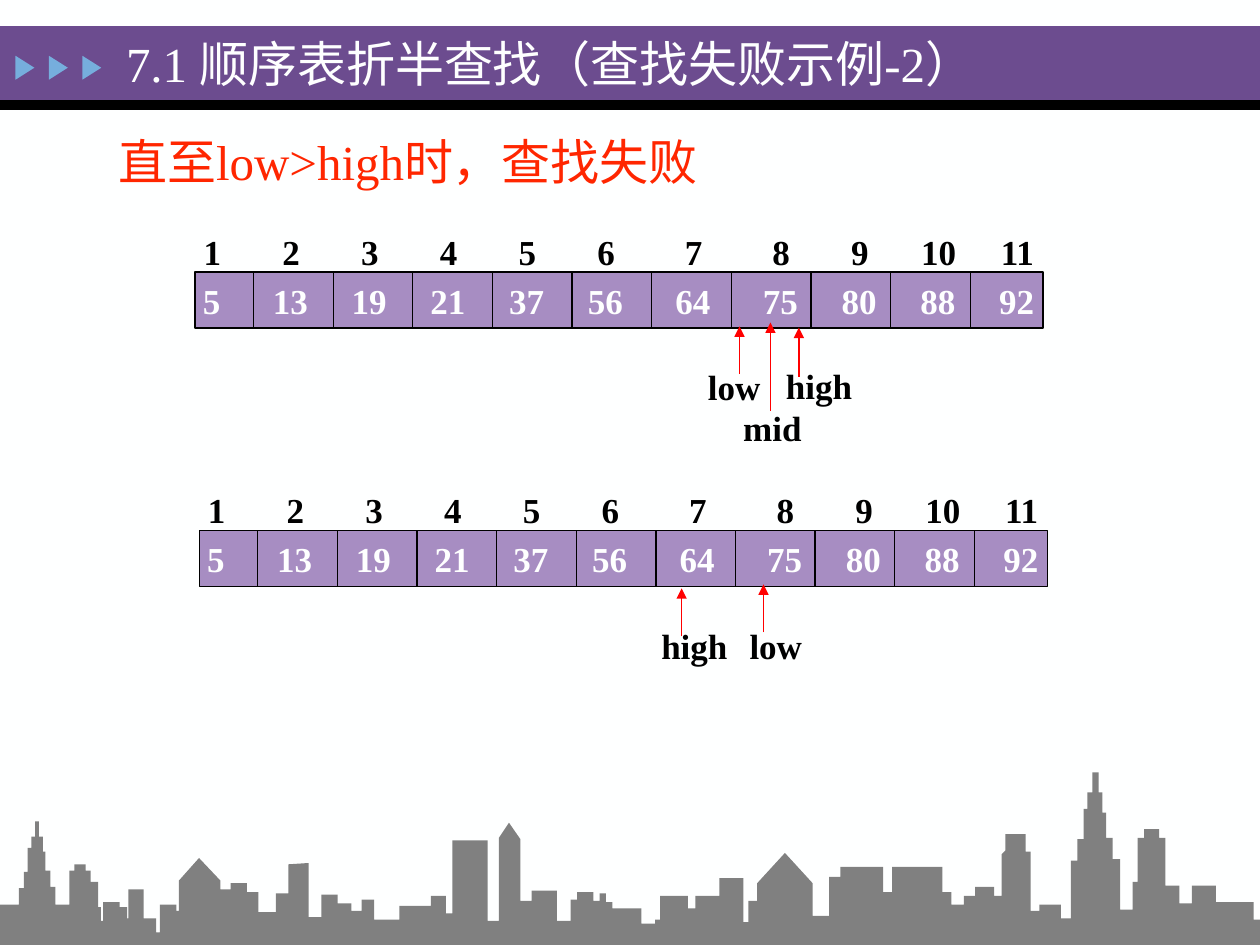
"""Build the slide on a failed binary search in a sequential list."""
from dataclasses import dataclass
from itertools import accumulate
from typing import Optional

from lxml.etree import SubElement
from pptx import Presentation
from pptx.dml.color import RGBColor
from pptx.enum.shapes import MSO_CONNECTOR, MSO_SHAPE
from pptx.enum.text import MSO_ANCHOR, MSO_AUTO_SIZE, PP_ALIGN
from pptx.oxml.ns import qn
from pptx.util import Pt

WHITE = RGBColor(0xFE, 0xFF, 0xFF)
BLACK = RGBColor(0x00, 0x00, 0x00)
PURPLE = RGBColor(0x6C, 0x4C, 0x8F)
LILAC = RGBColor(0xA7, 0x8D, 0xC2)
SKY_BLUE = RGBColor(0x76, 0xAE, 0xDD)
ARROW_RED = RGBColor(0xFF, 0x00, 0x00)
NOTE_RED = RGBColor(0xFF, 0x26, 0x00)
GRAY = RGBColor(0x80, 0x80, 0x80)
FONT = "Times New Roman"

VALUES = (5, 13, 19, 21, 37, 56, 64, 75, 80, 88, 92)
INDEXES = range(1, len(VALUES) + 1)
TAB_STOPS = tuple(accumulate((50, 45, 45, 45, 45, 50, 50, 45, 45, 45)))

# Each roof, from right to left: left end, level and, if pitched, level at the left end.
ROOFS = (
    (995, 730), (965, 716), (946, 703), (936, 717), (925, 703), (920, 665), (908, 658),
    (903, 665), (899, 700), (889, 722), (883, 682), (878, 665), (875, 645), (872, 629),
    (867, 613), (863, 629), (860, 642), (855, 666), (850, 683), (842, 729), (825, 718),
    (818, 723), (814, 676), (798, 662), (795, 675, 678), (789, 711), (774, 704),
    (765, 711), (755, 718), (748, 708), (708, 688), (701, 708), (667, 688), (658, 696),
    (645, 727), (623, 701, 677), (601, 677, 701), (594, 715), (590, 732), (571, 697),
    (552, 711), (546, 721), (524, 711), (520, 730), (509, 733), (486, 721), (481, 716),
    (476, 709), (471, 715), (458, 708), (453, 714), (442, 731), (422, 707), (413, 715),
    (404, 666, 653), (396, 653, 665), (387, 731), (359, 667), (354, 725), (342, 711),
    (317, 719), (297, 730), (287, 714), (279, 723), (268, 717), (255, 710), (245, 728),
    (229, 685, 686), (219, 709), (205, 724), (196, 708), (183, 701), (175, 706),
    (158, 699, 681), (142, 681, 699), (140, 723), (127, 718), (124, 740), (114, 729),
    (102, 706), (101, 729), (95, 720), (82, 716), (80, 731), (78, 720), (72, 700),
    (68, 691), (59, 686), (55, 691), (44, 718), (40, 704), (36, 691), (34, 676),
    (31, 664), (28, 652), (25, 664), (22, 673), (19, 692), (15, 705), (0, 718),
)


@dataclass(frozen=True)
class Pointer:
    name: str
    left: float
    top: float
    width: float
    arrow_x: float
    arrow_bottom: float
    arrow_top: float


@dataclass(frozen=True)
class SearchStep:
    left: float
    top: float
    pointers: tuple[Pointer, ...]


STEPS = (
    SearchStep(113.9, 303.1, (
        Pointer("low", 421.2, 353.5, 44.6, 436.3, 361.4, 334),
        Pointer("high", 370.8, 353.5, 52.6, 389.5, 363.6, 336.2),
    )),
    SearchStep(111.5, 155.5, (
        Pointer("low", 397.4, 205.2, 44.6, 422.6, 213.8, 186.5),
        Pointer("high", 442, 204.5, 52.6, 456.5, 215.3, 187.2),
        Pointer("mid", 417.6, 229, 47.5, 440.3, 234.7, 184.3),
    )),
)


def write_text(shape, text: str, *, size: float = 20, color: RGBColor = BLACK,
               bold: bool = False, wrap: bool = True, tabs: tuple = (),
               anchor: MSO_ANCHOR = MSO_ANCHOR.TOP, margin: float = 7.2) -> None:
    """Write one formatted paragraph into a shape."""
    frame = shape.text_frame
    frame.auto_size = MSO_AUTO_SIZE.NONE
    frame.word_wrap = wrap
    frame.vertical_anchor = anchor
    frame.margin_left = frame.margin_right = Pt(margin)
    paragraph = frame.paragraphs[0]
    paragraph.alignment = PP_ALIGN.LEFT
    if tabs:
        tab_list = SubElement(paragraph._p.get_or_add_pPr(), qn("a:tabLst"))
        for position in tabs:
            SubElement(tab_list, qn("a:tab"), pos=str(Pt(position)), algn="ctr")
    run = paragraph.add_run()
    run.text = text
    run.font.name = FONT
    run.font.size = Pt(size)
    run.font.bold = bold
    run.font.color.rgb = color


def add_text(shapes, left: float, top: float, width: float, height: float,
             text: str, **text_format) -> None:
    """Add a text box."""
    box = shapes.add_textbox(Pt(left), Pt(top), Pt(width), Pt(height))
    write_text(box, text, **text_format)


def paint(shape, fill: RGBColor, line: Optional[RGBColor] = None) -> None:
    """Give a shape a flat fill and an optional thin outline."""
    shape.shadow.inherit = False
    shape.fill.solid()
    shape.fill.fore_color.rgb = fill
    if line is None:
        shape.line.fill.background()
    else:
        shape.line.color.rgb = line
        shape.line.width = Pt(0.75)


def add_block(shapes, kind: MSO_SHAPE, left: float, top: float, width: float,
              height: float, fill: RGBColor, line: Optional[RGBColor] = None):
    """Add a filled preset shape."""
    shape = shapes.add_shape(kind, Pt(left), Pt(top), Pt(width), Pt(height))
    paint(shape, fill, line)
    return shape


def add_vertical_line(shapes, x: float, start: float, end: float,
                      color: RGBColor, arrow: bool = False) -> None:
    """Add a vertical line, with an arrowhead at its end if wanted."""
    connector = shapes.add_connector(
        MSO_CONNECTOR.STRAIGHT, Pt(x), Pt(start), Pt(x), Pt(end))
    connector.line.color.rgb = color
    connector.line.width = Pt(0.75)
    if arrow:
        SubElement(connector.line._get_or_add_ln(), qn("a:tailEnd"), type="triangle")
    SubElement(connector._element.spPr, qn("a:effectLst"))


def add_search_step(slide, step: SearchStep) -> None:
    """Draw the indexed list and the pointers of one search step."""
    shapes = slide.shapes.add_group_shape().shapes
    add_text(shapes, step.left - 2.2, step.top - 27.3, 489.6, 31,
             "\t".join(map(str, INDEXES)), bold=True, tabs=TAB_STOPS)
    row = add_block(shapes, MSO_SHAPE.RECTANGLE, step.left, step.top, 484.6, 32,
                    LILAC, BLACK)
    write_text(row, "\t".join(map(str, VALUES)), color=WHITE, bold=True,
               tabs=TAB_STOPS, anchor=MSO_ANCHOR.MIDDLE, margin=4.5)
    for number in range(len(VALUES) - 1):
        add_vertical_line(shapes, step.left + 33.4 + 45.5 * number,
                          step.top, step.top + 32, BLACK)
    for pointer in step.pointers:
        add_vertical_line(shapes, pointer.arrow_x, pointer.arrow_bottom,
                          pointer.arrow_top, ARROW_RED, arrow=True)
        add_text(shapes, pointer.left, pointer.top, pointer.width, 31,
                 pointer.name, bold=True, wrap=False)


def add_skyline(slide) -> None:
    """Draw the city outline along the bottom edge."""
    right = 1000
    points = []
    for left, level, *left_level in ROOFS:
        points += [(right, level), (left, left_level[0] if left_level else level)]
        right = left
    builder = slide.shapes.build_freeform(1000, 750, scale=Pt(0.72))
    builder.add_line_segments(points + [(0, 750)], close=True)
    paint(builder.convert_to_shape(), GRAY)


def main() -> None:
    """Build and save the presentation."""
    presentation = Presentation()
    presentation.slide_width, presentation.slide_height = Pt(720), Pt(540)
    slide = presentation.slides.add_slide(presentation.slide_layouts[5])
    slide.background.fill.solid()
    slide.background.fill.fore_color.rgb = WHITE
    add_block(slide.shapes, MSO_SHAPE.RECTANGLE, 0, 15, 720, 42.5, PURPLE)
    add_block(slide.shapes, MSO_SHAPE.RECTANGLE, 0, 57.3, 720, 5.6, BLACK)
    for number in range(3):
        marker = add_block(slide.shapes, MSO_SHAPE.ISOSCELES_TRIANGLE,
                           7.4 + 19.1 * number, 33.3, 13.7, 10.8, SKY_BLUE)
        marker.rotation = 90
    for step in STEPS:
        add_search_step(slide, step)
    add_text(slide.shapes, 60.5, 71.3, 350.6, 41, "直至low>high时，查找失败",
             size=28, color=NOTE_RED, anchor=MSO_ANCHOR.MIDDLE)
    add_skyline(slide)
    title = slide.shapes.title
    title.left, title.top, title.width, title.height = Pt(64.8), Pt(15.8), Pt(590.4), Pt(40.3)
    write_text(title, "7.1 顺序表折半查找（查找失败示例-2）", size=28, color=WHITE,
               anchor=MSO_ANCHOR.MIDDLE)
    slide.shapes._spTree.append(title._element)
    presentation.save("out.pptx")


if __name__ == "__main__":
    main()
